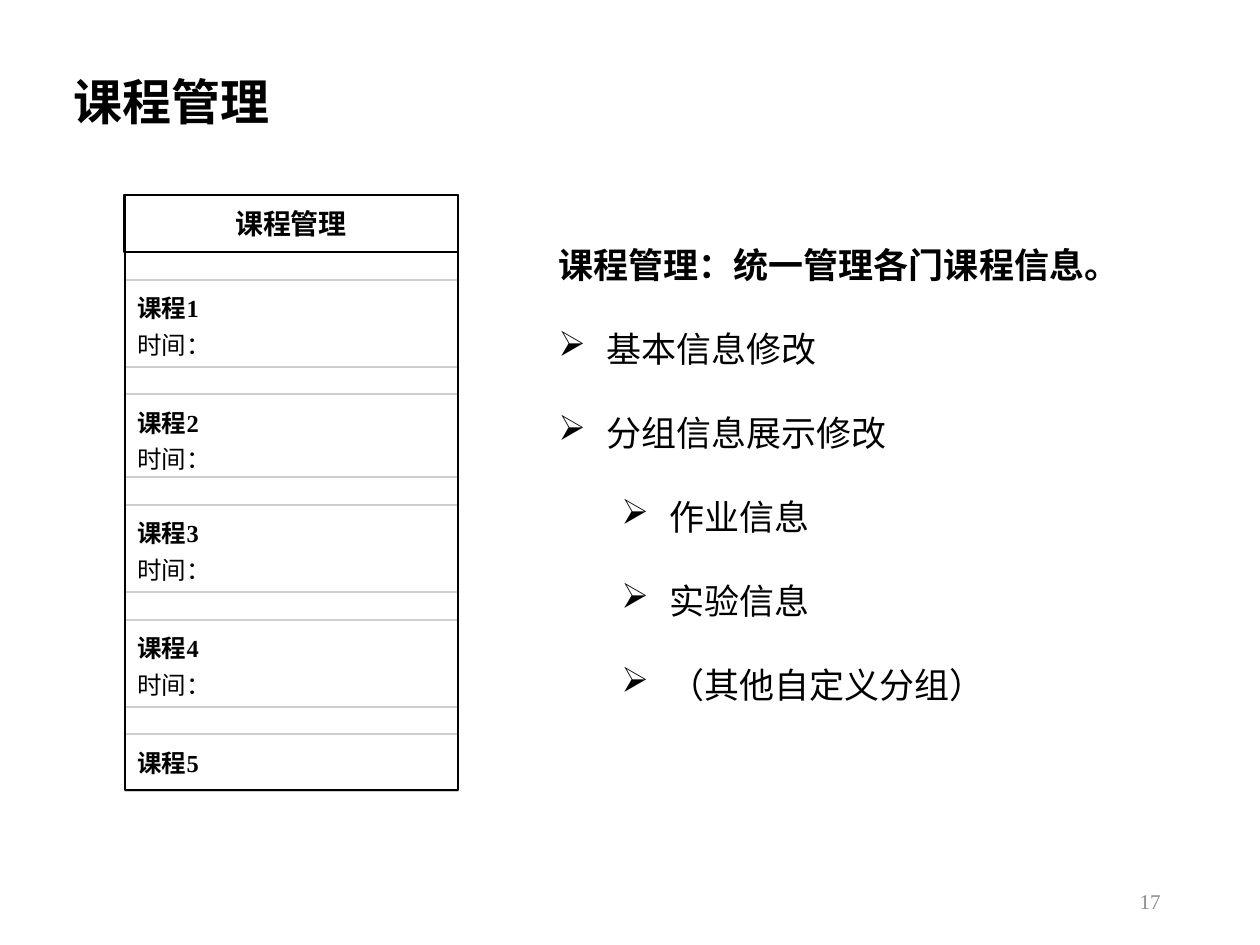
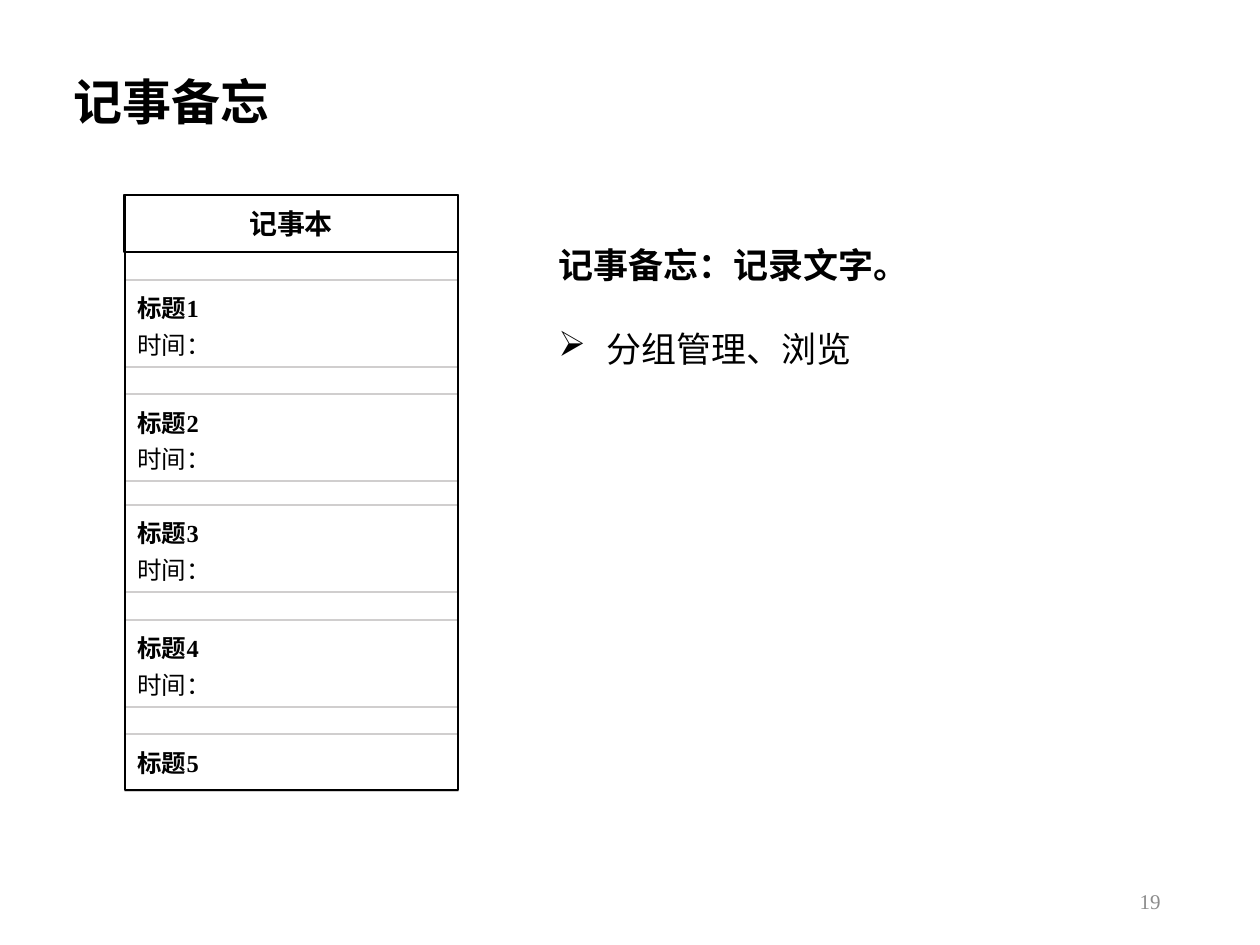
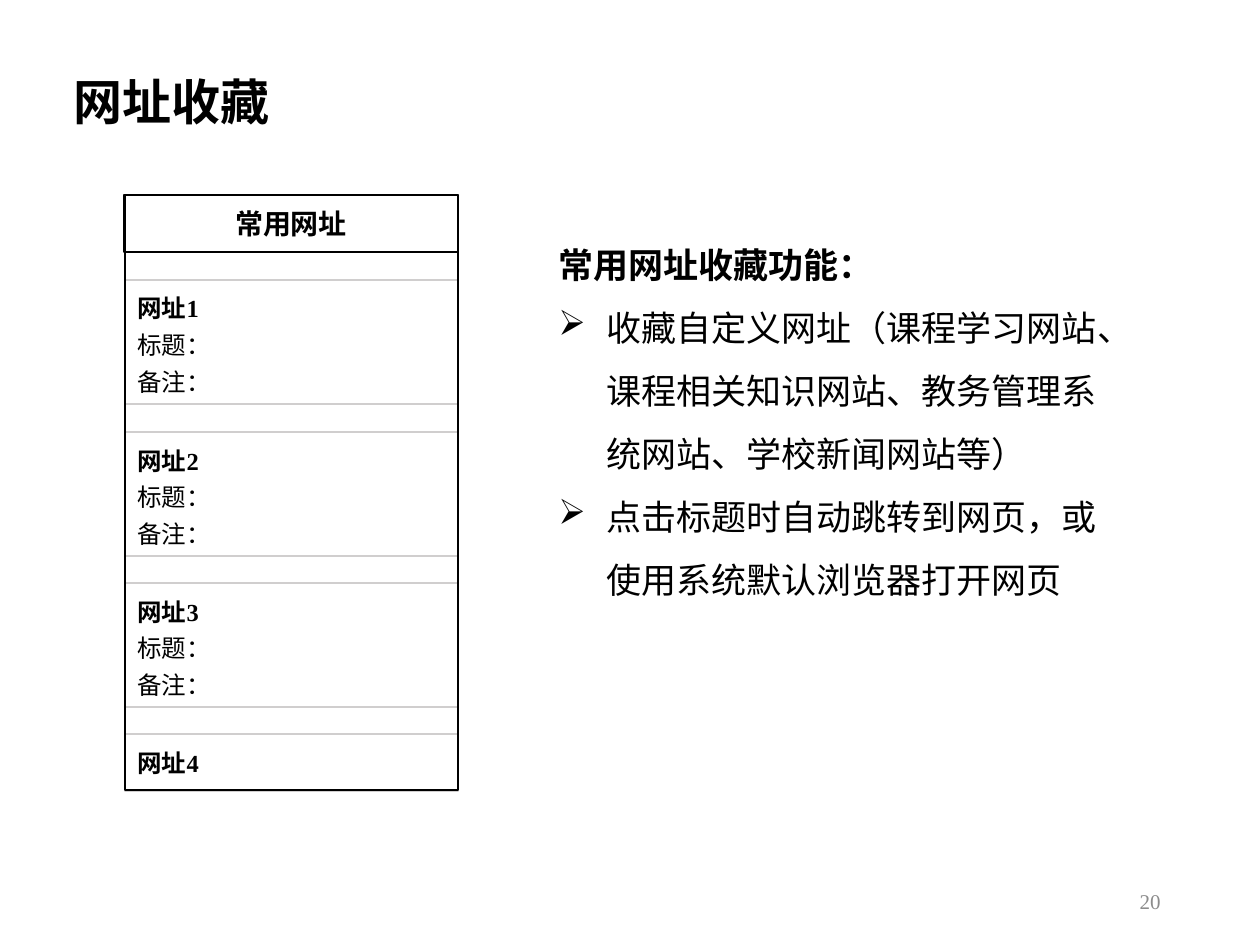
from lxml.etree import SubElement
from pptx import Presentation
from pptx.dml.color import RGBColor
from pptx.enum.lang import MSO_LANGUAGE_ID
from pptx.enum.shapes import MSO_SHAPE
from pptx.enum.text import MSO_ANCHOR, MSO_AUTO_SIZE, PP_ALIGN
from pptx.oxml.ns import qn
from pptx.util import Inches, Pt

BLACK = RGBColor(0x00, 0x00, 0x00)
GREY = RGBColor(0x8C, 0x8C, 0x8C)
LIGHT = RGBColor(0xD0, 0xCE, 0xCE)
FONT = "Times New Roman"
SCALE = 914400 / 126  # EMU per pixel

# Phone panel and text column
PANEL_X, PANEL_Y, PANEL_W, PANEL_H = 125, 195, 333, 595
BODY_X = 546
HEADER_H = 57


def px(*lengths):
    return [round(n * SCALE) for n in lengths]


class Deck:
    def __init__(self):
        self.prs = Presentation()
        self.prs.slide_width, self.prs.slide_height = Inches(10), Inches(7.5)
        self.s = None

    def new_slide(self):
        self.s = self.prs.slides.add_slide(self.prs.slide_layouts[6])

    def para(self, tf, text, size, bold=False, color=BLACK, spacing=None,
             align=None, level=None):
        """Add a paragraph; a level makes it a bullet."""
        p = tf.paragraphs[0]
        if p.runs:
            p = tf.add_paragraph()
        if spacing:
            p.line_spacing = spacing
        if align is not None:
            p.alignment = align
        if level is not None:
            p.level = level
            ppr = p._p.get_or_add_pPr()
            ppr.set("marL", str(Inches(0.38 + 0.5 * level)))
            ppr.set("indent", str(Inches(-0.38)))
            SubElement(ppr, qn("a:buChar")).set("char", "➢")
        r = p.add_run()
        r.text = text
        f = r.font
        f.name, f.size, f.bold = FONT, Pt(size), bold
        f.color.rgb = color
        f.language_id = MSO_LANGUAGE_ID.SIMPLIFIED_CHINESE

    def text_box(self, x, y, w, h, wrap=True, anchor=MSO_ANCHOR.TOP, grow=False):
        tf = self.s.shapes.add_textbox(*px(x, y, w, h)).text_frame
        tf.word_wrap = wrap
        tf.vertical_anchor = anchor
        if grow:
            tf.auto_size = MSO_AUTO_SIZE.SHAPE_TO_FIT_TEXT
        return tf

    def box(self, x, y, w, h, color, weight, anchor=MSO_ANCHOR.TOP):
        sp = self.s.shapes.add_shape(MSO_SHAPE.RECTANGLE, *px(x, y, w, h))
        sp.shadow.inherit = False
        sp.fill.background()
        sp.line.color.rgb = color
        sp.line.width = Pt(weight)
        sp.text_frame.word_wrap = True
        sp.text_frame.vertical_anchor = anchor
        return sp.text_frame

    def title(self, text):
        tf = self.text_box(74, 78, 199, 53, False, MSO_ANCHOR.MIDDLE, True)
        tf.margin_left = tf.margin_right = tf.margin_top = tf.margin_bottom = 0
        self.para(tf, text, 28, True, spacing=0.9)

    def page_number(self, number):
        tf = self.text_box(890, 876, 283, 50, anchor=MSO_ANCHOR.MIDDLE)
        self.para(tf, str(number), 12, color=GREY, align=PP_ALIGN.RIGHT)

    def body(self, w, h, lead, bullets, spacing, wrap):
        tf = self.text_box(BODY_X, PANEL_Y, w, h, wrap, grow=True)
        self.para(tf, lead, 20, True, spacing=2.0)
        for level, text in bullets:
            self.para(tf, text, 20, spacing=spacing, level=level)

    def panel(self, heading, item, fields, cards):
        """Headed list of cards; the last one is cut off after its name."""
        tf = self.box(PANEL_X - 1, PANEL_Y, PANEL_W + 1, HEADER_H, BLACK, 1,
                      MSO_ANCHOR.MIDDLE)
        self.para(tf, heading, 16, True, align=PP_ALIGN.CENTER)
        for i, (top, height) in enumerate(cards, 1):
            tf = self.box(PANEL_X, top, PANEL_W, height, LIGHT, 1.25)
            self.para(tf, f"{item}{i}", 14, True, spacing=1.25, align=PP_ALIGN.LEFT)
            for field in fields if i < len(cards) else ():
                self.para(tf, field, 14, spacing=1.25, align=PP_ALIGN.LEFT)
        self.box(PANEL_X, PANEL_Y, PANEL_W, PANEL_H, BLACK, 1.25)


# Card (top, height) pairs
LAST = (734, 57)
COURSES = [(280, 87), (394, 83), (505, 87), (620, 87), LAST]
NOTES = [(top, 87) for top in (280, 394, 505, 620)] + [LAST]
SITES = [(280 + round(i * 151.5), 124) for i in range(3)] + [LAST]

PAGES = [
    dict(title="课程管理", number=17,
         body=(595, 522, "课程管理：统一管理各门课程信息。",
               [(0, "基本信息修改"), (0, "分组信息展示修改"), (1, "作业信息"),
                (1, "实验信息"), (1, "（其他自定义分组）")], 2.0, False),
         panel=("课程管理", "课程", ["时间："], COURSES)),
    dict(title="记事备忘", number=19,
         body=(381, 183, "记事备忘：记录文字。",
               [(0, "分组管理、浏览")], 2.0, False),
         panel=("记事本", "标题", ["时间："], NOTES)),
    dict(title="网址收藏", number=20,
         body=(567, 416, "常用网址收藏功能：",
               [(0, "收藏自定义网址（课程学习网站、课程相关知识网站、"
                    "教务管理系统网站、学校新闻网站等）"),
                (0, "点击标题时自动跳转到网页，或使用系统默认浏览器打开网页")],
               1.5, True),
         panel=("常用网址", "网址", ["标题：", "备注："], SITES)),
]

deck = Deck()
for page in PAGES:
    deck.new_slide()
    deck.title(page["title"])
    deck.page_number(page["number"])
    deck.body(*page["body"])
    deck.panel(*page["panel"])
deck.prs.save("out.pptx")
